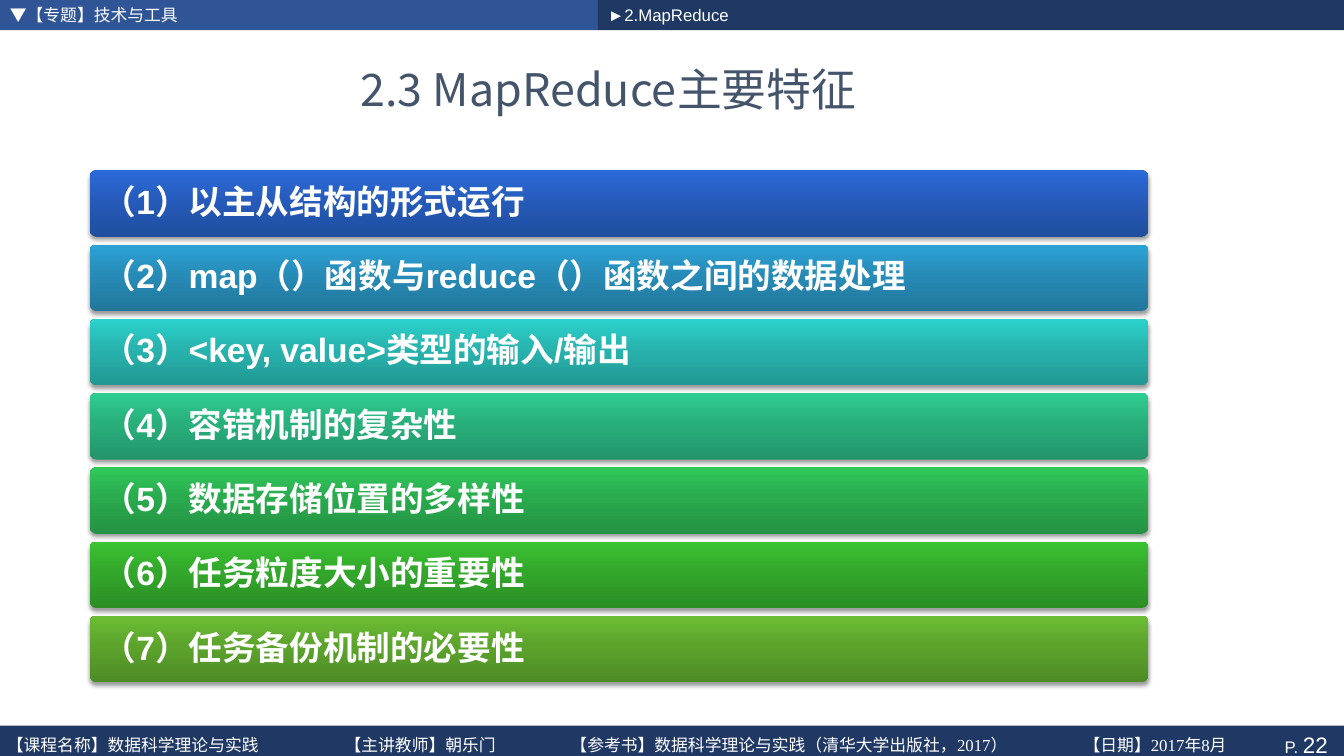
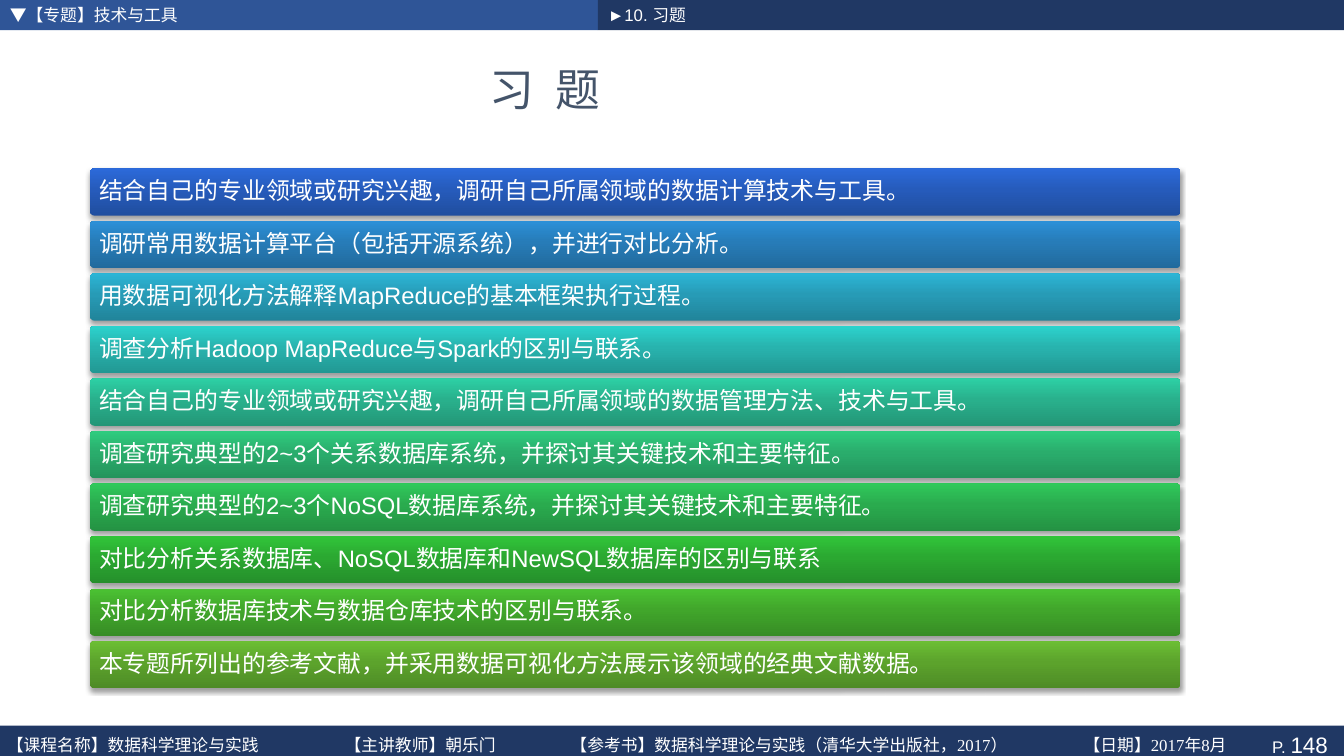
from colorsys import hls_to_rgb, rgb_to_hls

from lxml.etree import SubElement
from pptx import Presentation
from pptx.dml.color import RGBColor
from pptx.enum.shapes import MSO_SHAPE
from pptx.enum.text import MSO_ANCHOR, PP_ALIGN
from pptx.oxml import parse_xml
from pptx.oxml.ns import nsdecls, qn
from pptx.util import Inches, Pt

# Content
TOPIC = "▼【专题】技术与工具"
CREDITS = [
    "【课程名称】数据科学理论与实践",
    "【主讲教师】朝乐门",
    "【参考书】数据科学理论与实践（清华大学出版社，2017）",
    "【日期】2017年8月",
]
SLIDES = [
    {
        "part": "►2.MapReduce", "page": "22",
        "title": "2.3 MapReduce主要特征", "width": 11.19, "gap": 0,
        "bars": {"first": 1.69, "last": 6.11, "width": 10.5, "height": 0.66,
                 "pad": 0.11, "style": "major"},
        "items": [
            "（1）以主从结构的形式运行",
            "（2）map（）函数与reduce（）函数之间的数据处理",
            "（3）<key, value>类型的输入/输出",
            "（4）容错机制的复杂性",
            "（5）数据存储位置的多样性",
            "（6）任务粒度大小的重要性",
            "（7）任务备份机制的必要性",
        ],
    },
    {
        "part": "►10. 习题", "page": "148",
        "title": "习 题", "width": 9.93, "gap": 4,
        "bars": {"first": 1.67, "last": 6.36, "width": 10.82, "height": 0.47,
                 "pad": 0.08, "style": "minor"},
        "items": [
            "结合自己的专业领域或研究兴趣，调研自己所属领域的数据计算技术与工具。",
            "调研常用数据计算平台（包括开源系统），并进行对比分析。",
            "用数据可视化方法解释MapReduce的基本框架执行过程。",
            "调查分析Hadoop MapReduce与Spark的区别与联系。",
            "结合自己的专业领域或研究兴趣，调研自己所属领域的数据管理方法、技术与工具。",
            "调查研究典型的2~3个关系数据库系统，并探讨其关键技术和主要特征。",
            "调查研究典型的2~3个NoSQL数据库系统，并探讨其关键技术和主要特征。",
            "对比分析关系数据库、NoSQL数据库和NewSQL数据库的区别与联系",
            "对比分析数据库技术与数据仓库技术的区别与联系。",
            "本专题所列出的参考文献，并采用数据可视化方法展示该领域的经典文献数据。",
        ],
    },
]

# Theme
THEME = {
    "blue": "2F5597", "navy": "203864", "white": "FFFFFF", "slate": "44546A",
    "asian": "Noto Sans CJK SC",
    # gradient position: colour of the first bar, colour of the last bar
    "ramp": {0: ("204E9F", "4E8B26"), 55: ("265BBB", "5CA32C"),
             100: ("2C6ADA", "6BBE34")},
    "fonts": {
        "title": {"name": "Noto Sans CJK SC", "size": Pt(32)},
        "small": {"name": "Arial", "size": Pt(12)},
        "page": {"name": "Arial", "size": Pt(16)},
        "credit": {"name": "Times New Roman", "size": Pt(12)},
        "major": {"name": "Arial", "size": Pt(24), "bold": True},
        "minor": {"name": "Arial", "size": Pt(17)},
    },
}
TABS = [3.35, 5.59, 10.68]


# Text
def write(shape, runs, align=PP_ALIGN.LEFT, pad=0.1, color="white", tabs=(), lead=1.0):
    frame = shape.text_frame
    form = {"word_wrap": True, "vertical_anchor": MSO_ANCHOR.MIDDLE,
            "margin_left": Inches(pad), "margin_right": Inches(pad),
            "margin_top": 0, "margin_bottom": 0}
    for key, value in form.items():
        setattr(frame, key, value)
    para = frame.paragraphs[0]
    para.alignment, para.line_spacing = align, lead
    if tabs:
        stops = SubElement(para._p.get_or_add_pPr(), qn("a:tabLst"))
        for pos in tabs:
            SubElement(stops, qn("a:tab"), pos=str(Inches(pos)), algn="l")
    for text, style in runs:
        run = para.add_run()
        run.text = text
        for key, value in THEME["fonts"][style].items():
            setattr(run.font, key, value)
        run.font.color.rgb = RGBColor.from_string(THEME[color])
        SubElement(run._r.get_or_add_rPr(), qn("a:ea"), typeface=THEME["asian"])
    return para


def label(slide, box, runs, **form):
    return write(slide.shapes.add_textbox(*map(Inches, box)), runs, **form)


# Shapes
def block(slide, kind, box):
    shape = slide.shapes.add_shape(kind, *map(Inches, box))
    shape.shadow.inherit = False
    shape.line.fill.background()
    return shape


def band(slide, box, color, runs, **form):
    shape = block(slide, MSO_SHAPE.RECTANGLE, box)
    shape.fill.solid()
    shape.fill.fore_color.rgb = RGBColor.from_string(THEME[color])
    write(shape, runs, **form)


def blend(start, end, share):
    ends = [rgb_to_hls(*(part / 255 for part in RGBColor.from_string(tone)))
            for tone in (start, end)]
    mix = [a + (b - a) * share for a, b in zip(*ends)]
    return str(RGBColor(*(round(part * 255) for part in hls_to_rgb(*mix))))


def shade(shape, share):
    stops = "".join(
        f'<a:gs pos="{pos * 1000}"><a:srgbClr val="{blend(*pair, share)}"/></a:gs>'
        for pos, pair in THEME["ramp"].items())
    fill = parse_xml(f'<a:gradFill {nsdecls("a")} rotWithShape="1"><a:gsLst>{stops}'
                     '</a:gsLst><a:lin ang="16200000" scaled="0"/></a:gradFill>')
    props = shape._element.spPr
    props.find(qn("a:prstGeom")).addnext(fill)
    glow = SubElement(props.find(qn("a:effectLst")), qn("a:outerShdw"),
                      blurRad=str(Pt(3.1)), dist=str(Pt(2)), dir="5400000",
                      rotWithShape="0")
    tone = SubElement(glow, qn("a:srgbClr"), val="000000")
    SubElement(tone, qn("a:alpha"), val="38000")


# Slide parts
def frame(slide, data):
    band(slide, (0, 0, 5.93, 0.3), "blue", [(TOPIC, "small")])
    band(slide, (5.93, 0, 7.4, 0.3), "navy", [(data["part"], "small")])
    band(slide, (0, 7.2, 13.33, 0.37), "navy",
         [("P. ", "small"), (data["page"], "page")], align=PP_ALIGN.RIGHT, pad=0.16)
    label(slide, (-0.03, 7.25, 12.76, 0.28), [("\t".join(CREDITS), "credit")], tabs=TABS)
    title = label(slide, (0.44, 0.43, data["width"], 0.9), [(data["title"], "title")],
                  align=PP_ALIGN.CENTER, color="slate")
    if data["gap"]:
        title.runs[0]._r.get_or_add_rPr().set("spc", str(data["gap"] * 100))


def stack(slide, items, first, last, width, height, pad, style):
    for i, text in enumerate(items):
        share = i / (len(items) - 1)
        top = first + (last - first) * share
        bar = block(slide, MSO_SHAPE.ROUNDED_RECTANGLE, (0.89, top, width, height))
        bar.adjustments[0] = 0.1
        shade(bar, share)
        write(bar, [(text, style)], pad=pad, lead=0.9)


def main():
    deck = Presentation()
    deck.slide_width, deck.slide_height = Inches(13.33), Inches(7.5)
    for data in SLIDES:
        slide = deck.slides.add_slide(deck.slide_layouts[6])
        frame(slide, data)
        stack(slide, data["items"], **data["bars"])
    deck.save("out.pptx")


if __name__ == "__main__":
    main()
